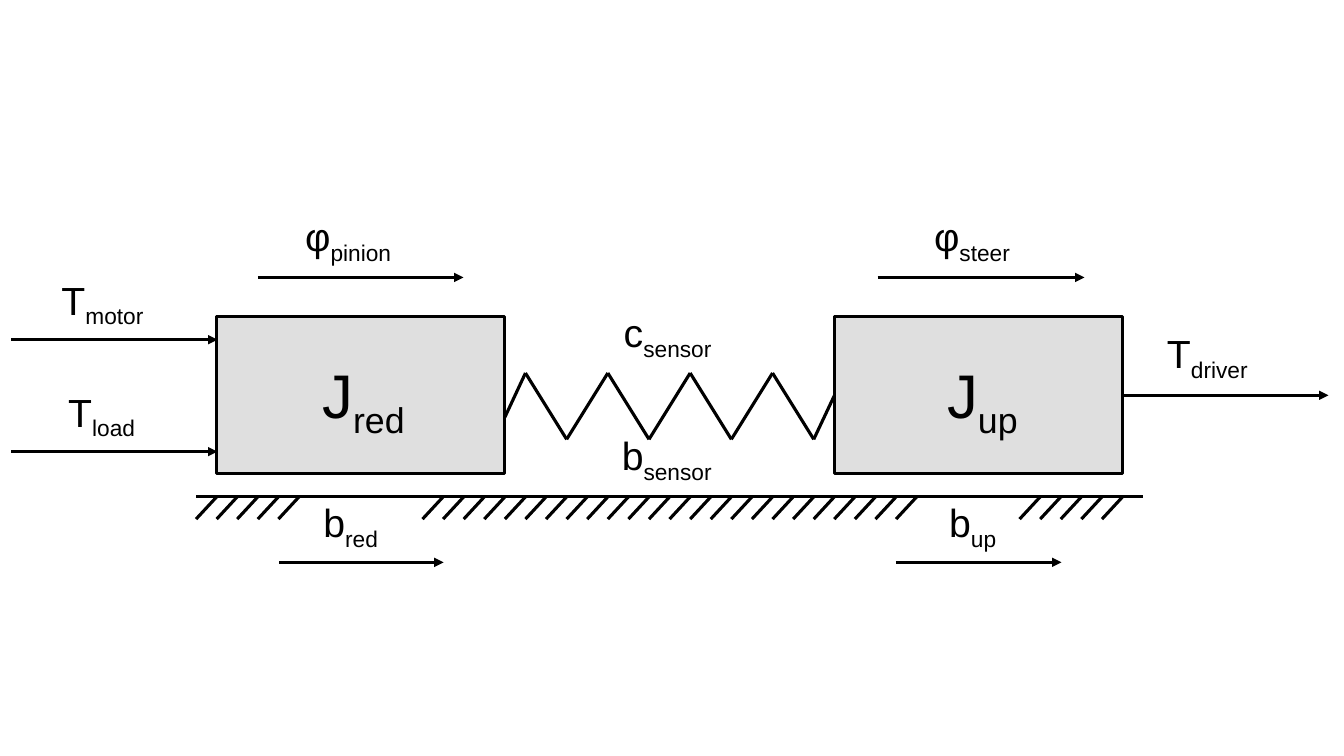
from lxml.etree import SubElement
from pptx import Presentation
from pptx.dml.color import RGBColor
from pptx.enum.shapes import MSO_CONNECTOR as Connector, MSO_SHAPE as Shape
from pptx.enum.text import MSO_AUTO_SIZE as AutoSize
from pptx.oxml.ns import qn
from pptx.util import Cm, Pt


def color(value):
    return RGBColor.from_string(value)


class Diagram:
    """Draws mechanical diagram elements on one slide, in centimetres."""

    font = "Arial"
    ink = "000000"
    body_fill = "C0C0C0"
    line_width = Pt(2.25)

    def __init__(self, slide):
        self.shapes = slide.shapes

    def body(self, left, top, width, height):
        shape = self.shapes.add_shape(
            Shape.RECTANGLE, Cm(left), Cm(top), Cm(width), Cm(height)
        )
        shape.shadow.inherit = False
        shape.fill.solid()
        shape.fill.fore_color.rgb = color(self.body_fill)
        fill_color = shape.fill._xPr.find(qn("a:solidFill"))[0]
        SubElement(fill_color, qn("a:alpha"), val="50000")
        shape.line.color.rgb = color(self.ink)
        shape.line.width = self.line_width
        return shape

    def line(self, x1, y1, x2, y2):
        connector = self.shapes.add_connector(
            Connector.STRAIGHT, Cm(x1), Cm(y1), Cm(x2), Cm(y2)
        )
        connector.line.color.rgb = color(self.ink)
        connector.line.width = self.line_width
        SubElement(connector._element.spPr, qn("a:effectLst"))
        return connector

    def arrow(self, x1, x2, y):
        connector = self.line(x1, y, x2, y)
        SubElement(connector.line._get_or_add_ln(), qn("a:tailEnd"), type="triangle")
        return connector

    def label(self, symbol, subscript, left, top, width, height=1.75, size=28):
        box = self.shapes.add_textbox(Cm(left), Cm(top), Cm(width), Cm(height))
        frame = box.text_frame
        frame.word_wrap = False
        frame.auto_size = AutoSize.SHAPE_TO_FIT_TEXT
        paragraph = frame.paragraphs[0]
        for text in (symbol, subscript):
            run = paragraph.add_run()
            run.text = text
            run.font.name = self.font
            run.font.size = Pt(size)
            run.font.color.rgb = color(self.ink)
        run.font._element.set("baseline", "-25000")


def main():
    presentation = Presentation()
    presentation.slide_width = Cm(33.87)
    presentation.slide_height = Cm(19.05)
    slide = presentation.slides.add_slide(presentation.slide_layouts[6])
    diagram = Diagram(slide)

    body_width, body_height, body_top = 7.26, 3.96, 7.98
    red_left, up_left = 5.46, 21.03
    up_right = up_left + body_width
    middle = body_top + body_height / 2
    pitch = (up_right - red_left) / 44

    diagram.body(red_left, body_top, body_width, body_height)
    up_body = diagram.body(up_left, body_top, body_width, body_height)

    spring = [(red_left + body_width, 10.52)]
    for index, step in enumerate(range(15, 30, 2)):
        spring.append((red_left + step * pitch, 11.07 if index % 2 else 9.4))
    spring.append((up_left, middle))
    for start, end in zip(spring, spring[1:]):
        spring_end = diagram.line(*start, *end)
    spring_end.end_connect(up_body, 1)

    ground = 12.52
    diagram.line(4.95, ground, 28.8, ground)
    for hatch_group in (range(0, 5), range(11, 35), range(40, 45)):
        for step in hatch_group:
            x = red_left + step * pitch
            diagram.line(x, ground, x - pitch, ground + 0.56)

    for x1, x2, y in (
        (0.28, 5.48, 8.56),
        (0.28, 5.48, 11.38),
        (6.5, 11.68, 6.99),
        (22.12, 27.33, 6.99),
        (7.04, 11.18, 14.17),
        (22.58, 26.75, 14.17),
    ):
        diagram.arrow(x1, x2, y)
    driver = diagram.arrow(up_right, 33.48, middle)
    driver.begin_connect(up_body, 3)

    diagram.label("J", "red", 7.87, 8.86, 3.2, 2.13, 44)
    diagram.label("J", "up", 23.62, 8.86, 2.59, 2.13, 44)
    for symbol, subscript, left, top, width in (
        ("T", "motor", 1.3, 6.83, 3.15),
        ("T", "load", 1.47, 9.65, 2.82),
        ("T", "driver", 29.16, 8.18, 3.43),
        ("c", "sensor", 15.47, 7.65, 3.35),
        ("b", "sensor", 15.42, 10.74, 3.45),
        ("φ", "pinion", 7.44, 5.23, 3.3),
        ("φ", "steer", 23.29, 5.23, 2.87),
        ("b", "red", 7.9, 12.43, 2.39),
        ("b", "up", 23.67, 12.43, 1.98),
    ):
        diagram.label(symbol, subscript, left, top, width)

    presentation.save("out.pptx")


if __name__ == "__main__":
    main()
